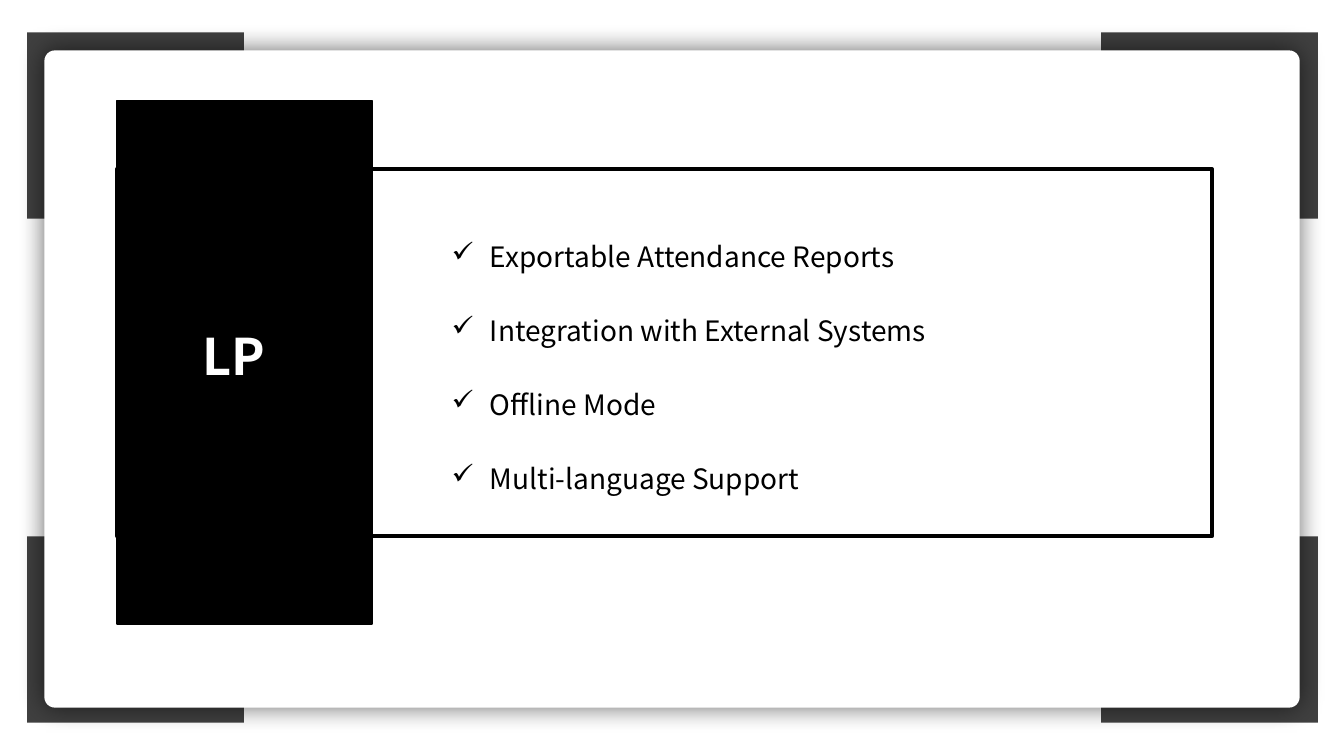
from lxml import etree
from pptx import Presentation
from pptx.dml.color import RGBColor
from pptx.enum import shapes, text
from pptx.oxml import ns
from pptx.util import Inches, Pt

COLOURS = {"corner": "404040", "paper": "FFFFFF", "ink": "000000"}
FONT = "Noto Sans CJK SC"
FEATURES = [
    "Exportable Attendance Reports",
    "Integration with External Systems",
    "Offline Mode",
    "Multi-language Support",
]


def colour(name):
    """Return the named palette colour."""
    return RGBColor.from_string(COLOURS[name])


def add_block(page, place, fill=None, line=None, width=1, kind=shapes.MSO_SHAPE.RECTANGLE):
    """Add a flat shape with an optional fill and outline."""
    block = page.shapes.add_shape(kind, *map(Inches, place))
    block.shadow.inherit = False
    if fill:
        block.fill.solid()
        block.fill.fore_color.rgb = colour(fill)
    else:
        block.fill.background()
    if line:
        block.line.color.rgb = colour(line)
        block.line.width = Pt(width)
    else:
        block.line.fill.background()
    return block


def add_glow_shadow(block):
    """Give a shape a soft shadow spreading evenly on all sides."""
    effects = block._element.spPr.find(ns.qn("a:effectLst"))
    shadow = etree.SubElement(effects, ns.qn("a:outerShdw"), blurRad=str(Inches(0.25)),
                              dist="0", algn="ctr", rotWithShape="0")
    shade = etree.SubElement(shadow, ns.qn("a:srgbClr"), val=COLOURS["ink"])
    etree.SubElement(shade, ns.qn("a:alpha"), val="60000")


def add_check_bullet(para):
    """Hang a check mark in front of a paragraph."""
    props = para._p.get_or_add_pPr()
    props.set("marL", str(Inches(0.38)))
    props.set("indent", str(Inches(-0.38)))
    etree.SubElement(props, ns.qn("a:buChar"), char="✓")


def add_text(page, place, lines, size, ink, bold=False, checked=False):
    """Add a text box with one paragraph per line."""
    box = page.shapes.add_textbox(*map(Inches, place))
    frame = box.text_frame
    frame.word_wrap = True
    frame.auto_size = text.MSO_AUTO_SIZE.NONE
    frame.text = "\n".join(lines)
    for para in frame.paragraphs:
        if checked:
            add_check_bullet(para)
            para.line_spacing = 2.2
        for span in para.runs:
            span.font.name = FONT
            span.font.size = Pt(size)
            span.font.bold = bold
            span.font.color.rgb = colour(ink)


def main():
    """Build the feature slide and save it."""
    deck = Presentation()
    deck.slide_width, deck.slide_height = Inches(13.33), Inches(7.5)
    page = deck.slides.add_slide(deck.slide_layouts[6])

    for left in (0.27, 10.92):
        for top in (0.32, 5.32):
            add_block(page, (left, top, 2.15, 1.85), fill="corner")
    panel = add_block(page, (0.44, 0.5, 12.45, 6.52), fill="paper",
                      kind=shapes.MSO_SHAPE.ROUNDED_RECTANGLE)
    panel.adjustments[0] = 0.016
    add_glow_shadow(panel)

    add_block(page, (1.16, 1.68, 10.86, 3.64), line="ink", width=3)
    add_block(page, (1.16, 1, 2.53, 5.19), fill="ink", line="ink")
    add_text(page, (1.91, 3.18, 1.02, 0.71), ["LP"], 36, "paper", bold=True)
    add_text(page, (4.38, 1.93, 5.21, 3.1), FEATURES, 20, "ink", checked=True)

    deck.save("out.pptx")


if __name__ == "__main__":
    main()
